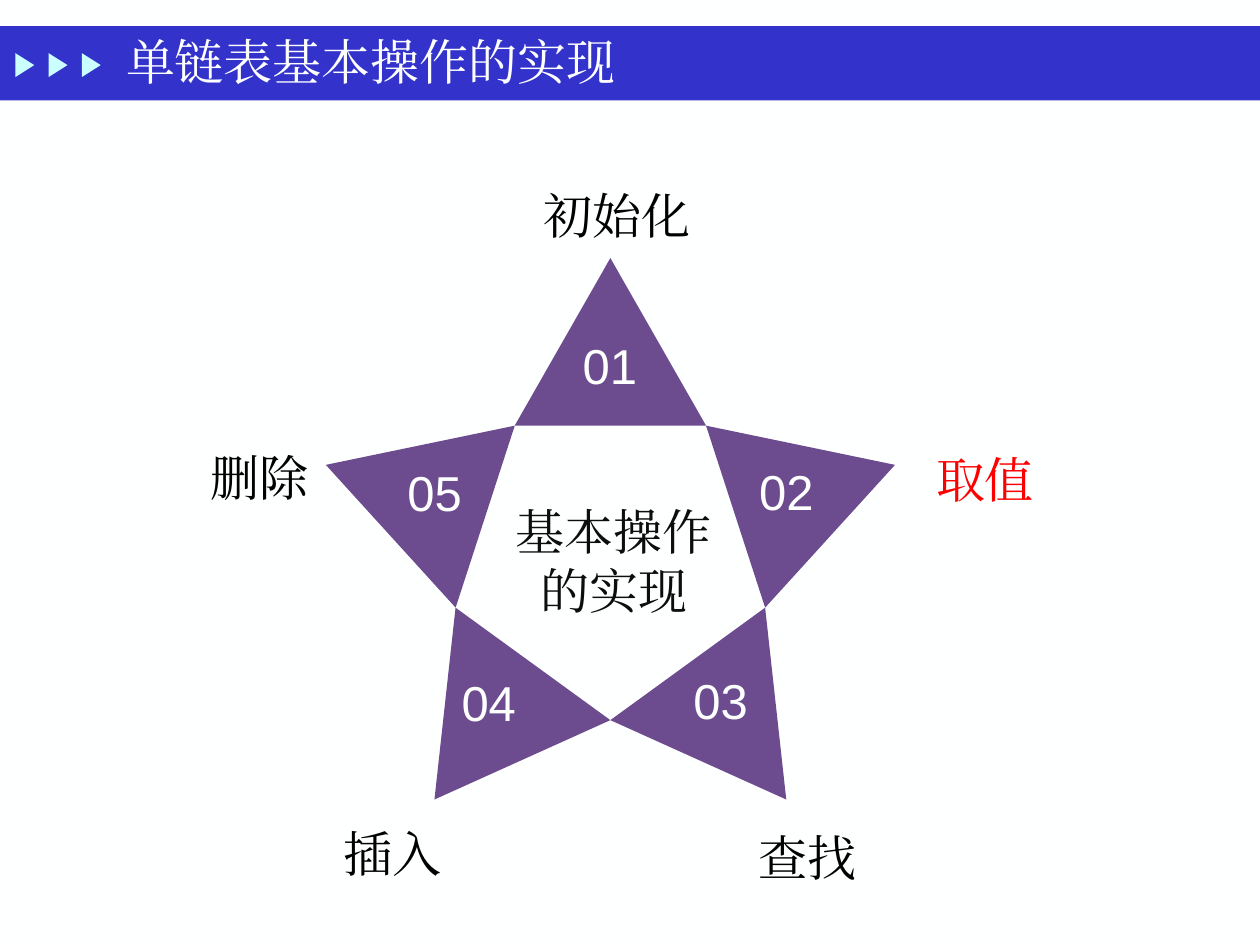
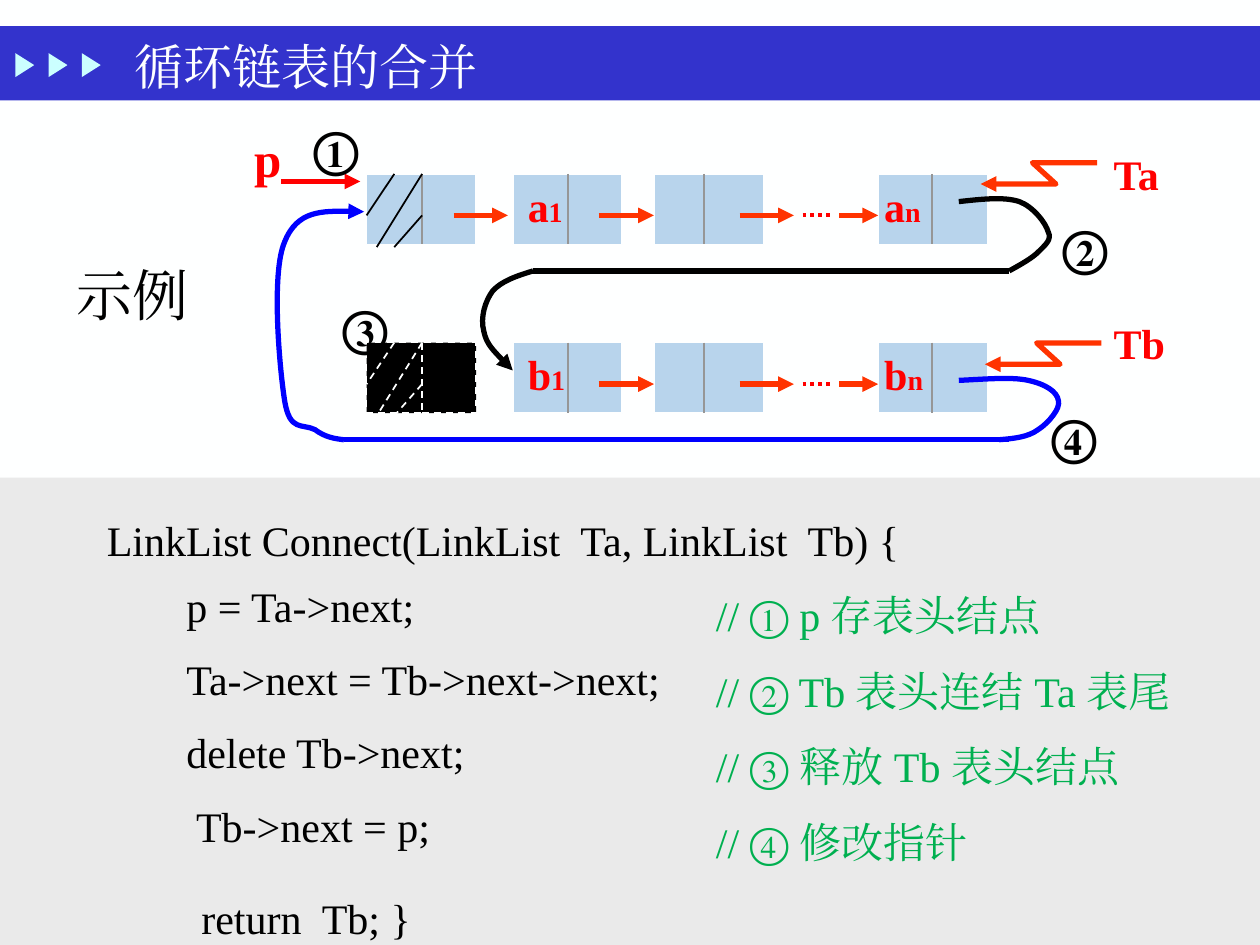
from math import cos, radians, sin

from lxml.etree import SubElement
from pptx import Presentation
from pptx.dml.color import RGBColor
from pptx.enum.dml import MSO_LINE_DASH_STYLE as Dash
from pptx.enum.shapes import MSO_CONNECTOR as Connector, MSO_SHAPE as Shape
from pptx.enum.text import MSO_ANCHOR as Anchor, MSO_AUTO_SIZE as AutoSize, PP_ALIGN as Align
from pptx.oxml.ns import qn
from pptx.util import Pt

COLOURS = {
    "white": "FEFFFF", "black": "000000", "ink": "0D0D0D", "band": "3333CC",
    "marker": "CBFFFF", "star": "6C4C8F", "red": "FF0000", "orange": "FF3300",
    "blue": "0000FF", "node": "B8D4EC", "divider": "969696", "panel": "EAEAEA",
    "green": "00B050",
}
SERIF, SANS = "Times New Roman", "Arial"
TITLE_ONLY = 5

# Star page: (left, top, width, height) of each text box
STAR_CENTRE, TIP_RADIUS, NOTCH_RADIUS = (348.8, 318.5), 171, 93
STAR_NUMBERS = [("01", 329.8, 191.5), ("02", 430.6, 263.5), ("03", 393.1, 383),
                ("04", 260.6, 384.5), ("05", 229.7, 264.2)]
STAR_LABELS = [
    ("初始化", (303.8, 92.2, 113, 43.2), "black"),
    ("取值", (527.8, 243.4, 76.3, 45.4), "red"),
    ("查找", (426.2, 459.4, 83.5, 37.4), "black"),
    ("插入", (189.2, 457.2, 78, 43.9), "black"),
    ("删除", (113, 241.9, 73.4, 39.6), "black"),
]

# List diagram
ROW_TOPS = {"a": 99.4, "b": 195.8}
NODE_WIDTH, NODE_HEIGHT, LINK_DROP = 62.6, 40.3, 23.7
HEAD_NODE = 209.5
NODES = [(HEAD_NODE, 31.7), (293, 31.7), (373.7, 28.8), (501.8, 31)]  # left, divider offset
LINKS = [(259.2, 290.2), (342, 373.7), (422.6, 453.6), (479.5, 501.8)]
DOTS = (458.6, 476)
HATCHES = [((15.8, 0), (0, 23.7)), ((31.7, 0), (5.8, 41.8)), ((31.7, 23.7), (15.8, 41.8))]
ELEMENT_LABELS = [(294.5, "1"), (498.2, "n")]
CURVES = [  # colour, arrow, start point followed by Bezier triples
    ("black", False, [(547.9, 115.2), (560.9, 113.8), (573.8, 112.3), (582.5, 115.2),
                      (590.4, 118.1), (597.6, 127.4), (599, 132.5), (601.2, 136.8),
                      (597.6, 139.7), (593.3, 144), (589.7, 147.6), (583.2, 151.2),
                      (576.7, 154.8)]),
    ("black", True, [(304.6, 154.8), (295.2, 157.7), (286.6, 160.6), (281.5, 166.3),
                     (277.2, 172.1), (274.3, 181.4), (276.5, 189.4), (277.9, 196.6),
                     (285.8, 204.5), (293, 211.7)]),
    ("blue", False, [(547.9, 217.4), (563, 216.7), (578.2, 215.3), (587.5, 217.4),
                     (597.6, 219.6), (604.1, 223.9), (604.8, 229), (606.2, 233.3),
                     (599, 241.9), (593.3, 245.5), (587.5, 249.8), (579.6, 250.6),
                     (571, 251.3)]),
    ("blue", True, [(196.6, 251.3), (190.8, 250.6), (185.8, 249.8), (180, 245.5),
                    (172.8, 241.9), (165.6, 247), (162.7, 229), (159.8, 211),
                    (154.8, 156.2), (162.7, 138.2), (169.9, 120.2), (189.4, 120.2),
                    (208.1, 121)]),
]
LONG_LINKS = [((304.6, 154.8), (576.7, 154.8), "black", False),
              ((196.6, 251.3), (576.7, 251.3), "blue", False),
              ((160.6, 103.7), (205.9, 103.7), "red", True)]
ZIGZAG = [(627, 93), (590, 93), (603.4, 105.2), (560.4, 105.2)]
ZIGZAG_SHIFTS = [(0, 0), (2.4, 103)]
STEPS = [("①", 172.1, 64.1), ("②", 599.8, 121), ("③", 188.6, 166.3), ("④", 594, 229)]

# Code listing: (text, indent, colour)
LISTING = [
    ("LinkList Connect(LinkList  Ta, LinkList  Tb) {", 0, "black"),
    ("// ① p 存表头结点", 348, "green"),
    ("// ② Tb 表头连结 Ta 表尾", 348, "green"),
    ("// ③ 释放 Tb 表头结点", 348, "green"),
    ("// ④ 修改指针", 348, "green"),
    ("return  Tb; }", 54, "black"),
]
STATEMENTS = ["p = Ta->next;", "Ta->next = Tb->next->next;", "delete Tb->next;",
              " Tb->next = p;"]


def rgb(name):
    return RGBColor.from_string(COLOURS[name])


def points(values):
    return [Pt(value) for value in values]


def style_span(span, size=28, colour="black", font=SERIF, bold=False):
    for name, value in {"size": Pt(size), "name": font, "bold": bold}.items():
        setattr(span.font, name, value)
    span.font.color.rgb = rgb(colour)
    SubElement(span._r.get_or_add_rPr(), qn("a:ea"), typeface=font)


def add_text(page, text, box, suffix="", align=Align.LEFT, anchor=Anchor.TOP,
             spacing=None, inset=None, wrap=True, **style):
    """Add a one-paragraph text box; the suffix is set in 16 points."""
    frame = page.shapes.add_textbox(*points(box)).text_frame
    frame.word_wrap, frame.vertical_anchor = wrap, anchor
    if inset is not None:
        for side in ("left", "top", "right", "bottom"):
            setattr(frame, f"margin_{side}", Pt(inset))
    para = frame.paragraphs[0]
    para.alignment, para.line_spacing = align, spacing
    for words, change in ((text, {}), (suffix, {"size": 16})):
        if words:
            span = para.add_run()
            span.text = words
            style_span(span, **{**style, **change})


def add_block(page, kind, box, fill, line=None, dash=None):
    block = page.shapes.add_shape(kind, *points(box))
    block.shadow.inherit = False
    block.fill.solid()
    block.fill.fore_color.rgb = rgb(fill)
    if line:
        style_line(block, line, 1, dash)
    else:
        block.line.fill.background()
    return block


def style_line(shape, colour, width, dash=None, arrow=False):
    shape.line.color.rgb = rgb(colour)
    shape.line.width = Pt(width)
    if dash:
        shape.line.dash_style = dash
    if arrow:
        SubElement(shape.line._get_or_add_ln(), qn("a:tailEnd"), type="triangle")


def add_line(page, start, end, colour, width=1, dash=None, arrow=False):
    line = page.shapes.add_connector(Connector.STRAIGHT, *points(start + end))
    style_line(line, colour, width, dash, arrow)
    SubElement(line._element.spPr, qn("a:effectLst"))


def add_outline(page, corners, closed=False):
    start, *rest = [points(corner) for corner in corners]
    builder = page.shapes.build_freeform(*start)
    builder.add_line_segments(rest, close=closed)
    outline = builder.convert_to_shape()
    outline.shadow.inherit = False
    return outline


def add_path(page, corners, colour, arrow, curved=False):
    """Add an open path; a curved one reads each three points as a Bezier piece."""
    outline = add_outline(page, corners)
    outline.fill.background()
    style_line(outline, colour, 3, arrow=arrow)
    if curved:
        track = outline._element.find(".//" + qn("a:path"))
        pieces = track.findall(qn("a:lnTo"))
        for first in range(0, len(pieces), 3):
            bezier = SubElement(track, qn("a:cubicBezTo"))
            for piece in pieces[first:first + 3]:
                bezier.append(piece[0])
                track.remove(piece)


def add_page(deck, title, box):
    page = deck.slides.add_slide(deck.slide_layouts[TITLE_ONLY])
    add_block(page, Shape.RECTANGLE, (0, 15, 720, 42.4), "band")
    for index in range(3):
        marker = add_block(page, Shape.ISOSCELES_TRIANGLE,
                           (7.3 + 19 * index, 31.8, 13.7, 10.8), "marker")
        marker.rotation = 90
    holder = page.shapes.title
    for name, value in zip(("left", "top", "width", "height"), points(box)):
        setattr(holder, name, value)
    page.shapes._spTree.append(holder._element)
    frame = holder.text_frame
    frame.text = title
    frame.auto_size, frame.vertical_anchor = AutoSize.NONE, Anchor.MIDDLE
    frame.paragraphs[0].alignment = Align.LEFT
    style_span(frame.paragraphs[0].runs[0], colour="white")
    return page


def star_point(radius, degrees):
    angle = radians(degrees)
    return (STAR_CENTRE[0] + radius * sin(angle), STAR_CENTRE[1] - radius * cos(angle))


def build_star_page(deck):
    page = add_page(deck, "单链表基本操作的实现", (64.8, 13, 564.5, 43.2))
    for index, (number, left, top) in enumerate(STAR_NUMBERS):
        turn = 72 * index
        ray = add_outline(page, [star_point(TIP_RADIUS, turn),
                                 star_point(NOTCH_RADIUS, turn + 36),
                                 star_point(NOTCH_RADIUS, turn - 36)], closed=True)
        ray.fill.solid()
        ray.fill.fore_color.rgb = rgb("star")
        ray.line.fill.background()
        add_text(page, number, (left, top, 37.4, 33.8), align=Align.CENTER, inset=0,
                 colour="white", font=SANS)
    for label, box, colour in STAR_LABELS:
        add_text(page, label, box, spacing=1.3, colour=colour)
    add_text(page, "基本操作的实现", (286.6, 272.9, 128.2, 95), align=Align.CENTER,
             anchor=Anchor.MIDDLE, colour="ink")


def add_list_row(page, letter, top):
    freed = letter == "b"  # the head node of the second list is released
    link_y = top + LINK_DROP
    for left, divider in NODES:
        released = freed and left == HEAD_NODE
        dash = Dash.DASH if released else None
        add_block(page, Shape.RECTANGLE, (left, top, NODE_WIDTH, NODE_HEIGHT),
                  "black" if released else "node", "white", dash)
        add_line(page, (left + divider, top), (left + divider, top + NODE_HEIGHT),
                 "white" if released else "divider", dash=dash)
    for start, end in HATCHES:
        add_line(page, (HEAD_NODE + start[0], top + start[1]),
                 (HEAD_NODE + end[0], top + end[1]),
                 "white" if freed else "black", dash=Dash.DASH if freed else None)
    for start, end in LINKS[1:] if freed else LINKS:
        add_line(page, (start, link_y), (end, link_y), "orange", 3, arrow=True)
    add_line(page, (DOTS[0], link_y), (DOTS[1], link_y), "red", 2.25, Dash.ROUND_DOT)
    for left, index in ELEMENT_LABELS:
        add_text(page, letter, (left, top, 40, 36.7), suffix=index, size=24,
                 colour="red", bold=True)
    add_text(page, "T" + letter, (629.3, top - 18, 54, 36), size=24, colour="red", bold=True)


def add_listing(page):
    add_block(page, Shape.RECTANGLE, (0, 272.9, 720, 267.1), "panel")
    frame = page.shapes.add_textbox(*points((54, 275.8, 640.8, 263.5))).text_frame
    frame.word_wrap = True
    for index, (code, indent, colour) in enumerate(LISTING):
        para = frame.add_paragraph() if index else frame.paragraphs[0]
        para.line_spacing = 1.5
        para._p.get_or_add_pPr().set("marL", str(Pt(indent)))
        span = para.add_run()
        span.text = code
        style_span(span, size=24, colour=colour)
    for index, statement in enumerate(STATEMENTS):
        add_text(page, statement, (99.4, 328.3 + 41.8 * index, 290, 36), size=24)


def build_merge_page(deck):
    page = add_page(deck, "循环链表的合并", (69.8, 10.8, 564.5, 54))
    for letter, top in ROW_TOPS.items():
        add_list_row(page, letter, top)
    for start, end, colour, arrow in LONG_LINKS:
        add_line(page, start, end, colour, 3, arrow=arrow)
    for colour, arrow, corners in CURVES:
        add_path(page, corners, colour, arrow, curved=True)
    for right, down in ZIGZAG_SHIFTS:
        add_path(page, [(x + right, y + down) for x, y in ZIGZAG], "orange", True)
    for step, left, top in STEPS:
        add_text(page, step, (left, top, 43.2, 41), wrap=False, bold=True)
    add_text(page, "p", (138.2, 69.8, 34.6, 41), colour="red", bold=True)
    add_text(page, "示例", (36.7, 145.4, 90.7, 46), size=32)
    add_listing(page)


def main():
    deck = Presentation()
    deck.slide_width, deck.slide_height = Pt(720), Pt(540)
    backdrop = deck.slide_master.background.fill
    backdrop.solid()
    backdrop.fore_color.rgb = rgb("white")
    build_star_page(deck)
    build_merge_page(deck)
    deck.save("out.pptx")


if __name__ == "__main__":
    main()
